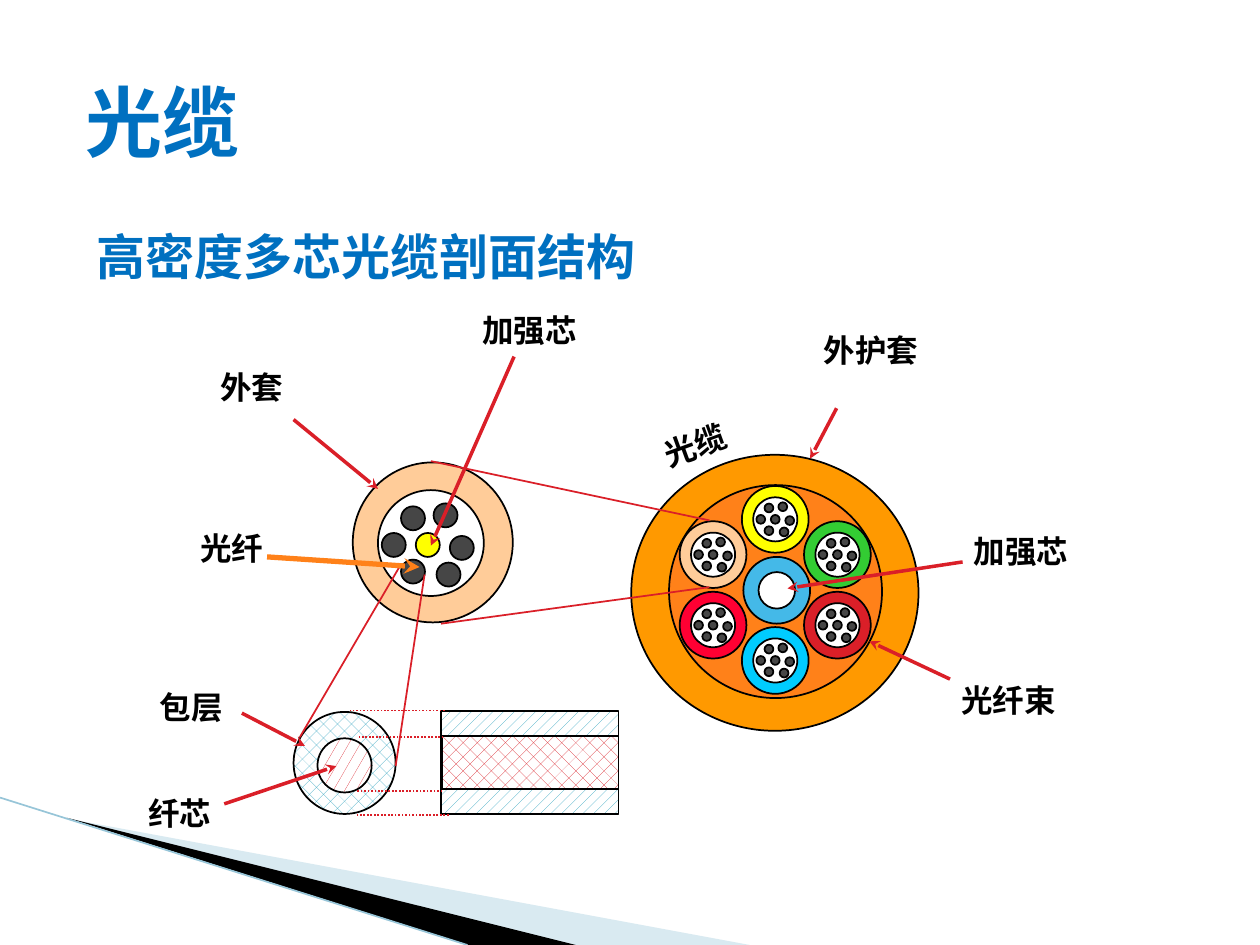
import math

import lxml.etree
import pptx
import pptx.dml.color
import pptx.enum.dml
import pptx.enum.shapes
import pptx.enum.text
import pptx.oxml.ns
import pptx.util

WIDTH, HEIGHT = pptx.util.Inches(10), pptx.util.Inches(7.5)
COL, ROW = WIDTH / 100, HEIGHT / 75  # square grid of 100 columns by 75 rows
FONT = "Arial"
C = {
    "black": "000000", "white": "FFFFFF", "heading": "0070C0", "teal": "2DA2BF",
    "red": "DA1F28", "fiber": "464646", "peach": "FFCC99", "yellow": "FFFF00",
    "jacket": "FF9900", "orange": "FF8119", "hub": "44B9E8", "cyan": "00CCFF",
    "green": "33CC33", "crimson": "FF0033", "wave": "A0CBDC", "edge": "97C5D8",
}
PATTERN = pptx.enum.dml.MSO_PATTERN
SHAPE = pptx.enum.shapes.MSO_SHAPE
BUNDLE_COLORS = ("yellow", "green", "red", "cyan", "crimson", "peach")  # clockwise
# Offsets of the fibers from the middle of a bundle, in columns and rows
FIBERS = ((-1.15, 0), (1.15, 0.1), (-0.5, -0.9), (0.6, -1), (-0.5, 0.9), (0.7, 1))
ZOOM = 2.35  # enlarged bundle against those in the cable


def rgb(name):
    return pptx.dml.color.RGBColor.from_string(C[name])


def place(x, y):
    return round(x * COL), round(y * ROW)


def sub(parent, tag, **attrs):
    return lxml.etree.SubElement(parent, pptx.oxml.ns.qn(tag), attrs)


def outlined(s, kind, x, y, w, h, color, pattern=None):
    sp = s.shapes.add_shape(kind, *place(x, y), *place(w, h))
    sp.shadow.inherit = False
    if pattern is None:
        sp.fill.solid()
        sp.fill.fore_color.rgb = rgb(color)
    else:
        sp.fill.patterned()
        sp.fill.pattern = pattern
        sp.fill.fore_color.rgb = rgb(color)
        sp.fill.back_color.rgb = rgb("white")
    sp.line.color.rgb = rgb("black")
    sp.line.width = pptx.util.Pt(1)


def circle(s, cx, cy, w, color, pattern=None, h=None):
    h = h or w
    outlined(s, SHAPE.OVAL, cx - w / 2, cy - h / 2, w, h, color, pattern)


def line(s, start, end, color="red", width=1, dotted=False, arrow=False):
    """Draw a straight line; an arrow has its tip at the start."""
    cxn = s.shapes.add_connector(
        pptx.enum.shapes.MSO_CONNECTOR.STRAIGHT, *place(*start), *place(*end))
    cxn.line.color.rgb = rgb(color)
    cxn.line.width = pptx.util.Pt(width)
    if dotted:
        cxn.line.dash_style = pptx.enum.dml.MSO_LINE.ROUND_DOT
    if arrow:
        sub(cxn.line._get_or_add_ln(), "a:headEnd", type="stealth")
    sub(cxn._element.spPr, "a:effectLst")


def text(s, runs, x, y, w, h=4, size=18, color="black", wrap=False, rotation=0):
    """Add a bold one-line text of (words, font) runs."""
    sp = s.shapes.add_textbox(*place(x, y), *place(w, h))
    sp.rotation = rotation
    tf = sp.text_frame
    tf.word_wrap = wrap
    p = tf.paragraphs[0]
    for words, font in runs:
        r = p.add_run()
        r.text = words
        r.font.name = font
        r.font.size = pptx.util.Pt(size)
        r.font.bold = True
        r.font.color.rgb = rgb(color)
    return tf


def wedge(s, points, color, alpha=None):
    points = [place(*point) for point in points]
    fb = s.shapes.build_freeform(*points[0])
    fb.add_line_segments(points[1:], close=True)
    sp = fb.convert_to_shape()
    sp.shadow.inherit = False
    sp.fill.solid()
    sp.fill.fore_color.rgb = rgb(color)
    sp.line.fill.background()
    if alpha:
        clr = sp._element.spPr.find(".//" + pptx.oxml.ns.qn("a:srgbClr"))
        sub(clr, "a:alpha", val=str(alpha * 1000))


def fibers(s, cx, cy, size, zoom=1):
    for dx, dy in FIBERS:
        circle(s, cx + dx * zoom, cy + dy * zoom, size, "fiber")


def corner_wave(s):
    wedge(s, ((5.5, 65), (59.5, 75), (45.6, 75)), "wave", 40)
    wedge(s, ((5.3, 64.9), (45.7, 75), (37.2, 75)), "black")
    line(s, (0, 63.3), (37.1, 75), "edge", 0.95)


def single_fiber(s):
    """Cross section and lengthwise section of one fiber."""
    circle(s, 27.35, 60.55, 8.1, "teal", PATTERN.PERCENT_25)
    circle(s, 27.35, 60.75, 4.3, "red", PATTERN.SMALL_CONFETTI)
    outlined(s, SHAPE.RECTANGLE, 35, 56.4, 14.1, 8.2, "teal", PATTERN.PERCENT_20)
    outlined(s, SHAPE.RECTANGLE, 35.1, 58.4, 14, 4.2, "red", PATTERN.PERCENT_25)
    for right, left, y in ((35.3, 27.8, 56.4), (35.6, 28.2, 64.7),
                           (35.2, 28.5, 58.5), (35.1, 28.3, 62.8)):
        line(s, (right, y), (left, y), dotted=True)


def enlarged_bundle(s):
    circle(s, 34.35, 43.05, 12.7, "peach")
    circle(s, 34.2, 43.1, 8.4, "white")
    circle(s, 33.95, 43.25, 1.9, "yellow")
    fibers(s, 33.95, 43.25, 1.9, ZOOM)


def cable(s):
    circle(s, 61.5, 47.05, 22.8, "jacket", h=21.9)
    circle(s, 61.55, 46.95, 16.9, "orange")
    circle(s, 61.65, 46.85, 5.3, "hub")
    circle(s, 61.65, 46.85, 2.9, "white")
    for i, color in enumerate(BUNDLE_COLORS):
        angle = math.tau * i / len(BUNDLE_COLORS)
        cx = 61.53 + 5.7 * math.sin(angle)
        cy = 46.82 - 5.6 * math.cos(angle)
        circle(s, cx, cy, 5.3, color)
        circle(s, cx, cy, 3.5, "white")
        circle(s, cx, cy, 0.7, "fiber")
        fibers(s, cx, cy, 0.7)


def zoom_lines(s):
    for start, end in (((31.7, 45), (23.8, 58.5)), ((33.7, 45.6), (31.4, 60.8)),
                       ((34.2, 36.6), (56.3, 41.3)), ((35, 49.5), (56.3, 46.6))):
        line(s, start, end)


def labels(s):
    for words, x, y, w, wrap in (
            ("纤芯", 10.8, 62.5, 7.8, True), ("包层", 11.7, 54.1, 9.1, True),
            ("外套", 16.5, 28.7, 7, False), ("加强芯", 37.3, 24.2, 9.6, False),
            ("光纤", 14.9, 41.5, 7, False), ("外护套", 64.4, 25.8, 9.7, True),
            ("加强芯", 76.3, 41.7, 9.6, False), ("光纤束", 75.3, 53.6, 9.6, False)):
        text(s, [(words, FONT)], x, y, w, wrap=wrap)
    text(s, [("光缆", FONT)], 51.7, 33.3, 7, rotation=340)
    for tip, end in (((26.7, 60.8), (17.8, 63.8)), ((24.2, 59.2), (19.2, 56.6)),
                     ((30, 38.8), (23.3, 33.3)), ((34.2, 43.3), (40.8, 28.3)),
                     ((69, 50.9), (75.4, 53.9)), ((62.5, 46.7), (76.4, 44.6)),
                     ((64.3, 36.4), (66.4, 32.4))):
        line(s, tip, end, width=2, arrow=True)
    line(s, (33.3, 45), (21.2, 44.2), "orange", 3, arrow=True)


def main():
    prs = pptx.Presentation()
    prs.slide_width, prs.slide_height = WIDTH, HEIGHT
    s = prs.slides.add_slide(prs.slide_layouts[6])
    corner_wave(s)
    title = text(s, [("光缆", FONT)], 5.8, 5.8, 81.7, 7.5, 44, "heading", True)
    title.vertical_anchor = pptx.enum.text.MSO_ANCHOR.MIDDLE
    text(s, [("高密度多芯光缆", FONT), ("剖面结构", "DejaVu Sans Mono")],
         6.7, 17.5, 45, 5.7, 28, "heading")
    single_fiber(s)
    enlarged_bundle(s)
    cable(s)
    zoom_lines(s)
    labels(s)
    prs.save("out.pptx")


if __name__ == "__main__":
    main()
